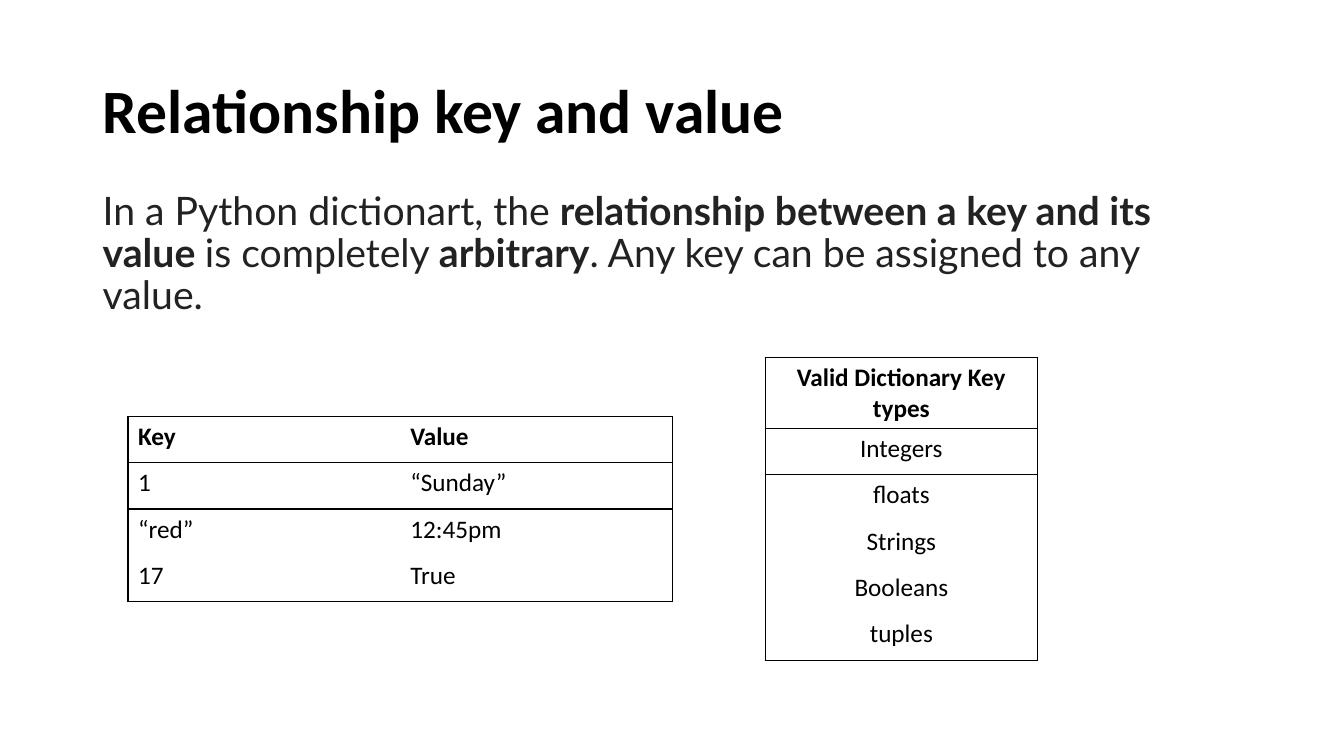
from lxml import etree
from pptx import Presentation
from pptx.dml.color import RGBColor
from pptx.enum.text import MSO_ANCHOR, PP_ALIGN
from pptx.oxml.ns import qn
from pptx.util import Inches, Pt

LEFT, CENTER = PP_ALIGN.LEFT, PP_ALIGN.CENTER
TOP, MIDDLE = MSO_ANCHOR.TOP, MSO_ANCHOR.MIDDLE
BLACK, DARK_GREY = "000000", "222222"
ROW_H = 0.46
RULED_ROWS = 2  # the first rows have a line below them


def color(hex_code):
    return RGBColor.from_string(hex_code)


def add_run(p, text, size, font, hex_code, bold=False):
    r = p.add_run()
    r.text = text
    r.font.size = Pt(size)
    r.font.name = font
    r.font.bold = bold
    r.font.color.rgb = color(hex_code)


def add_text(slide, box, runs, size, font, hex_code, anchor=TOP, before=0):
    """One wrapped paragraph of (text, bold) runs."""
    tf = slide.shapes.add_textbox(*map(Inches, box)).text_frame
    tf.word_wrap = True
    tf.vertical_anchor = anchor
    p = tf.paragraphs[0]
    p.line_spacing = 0.9
    p.space_before = Pt(before)
    for text, bold in runs:
        add_run(p, text, size, font, hex_code, bold)


def set_borders(cell, visible):
    """Draw the sides named in visible (of L, R, T, B) and clear the others."""
    tcPr = cell._tc.get_or_add_tcPr()
    for side in "LRTB":
        ln = etree.SubElement(tcPr, qn(f"a:ln{side}"), w=str(Pt(1)))
        if side in visible:
            fill = etree.SubElement(ln, qn("a:solidFill"))
            etree.SubElement(fill, qn("a:srgbClr"), val=BLACK)
        else:
            etree.SubElement(ln, qn("a:noFill"))


def add_framed_table(slide, left, top, col_w, rows, align=LEFT, head_h=ROW_H):
    """Framed table with a bold header and rules below its first rows."""
    n_rows, n_cols = len(rows), len(rows[0])
    height = head_h + ROW_H * (n_rows - 1)
    box = map(Inches, (left, top, col_w * n_cols, height))
    table = slide.shapes.add_table(n_rows, n_cols, *box).table
    table.first_row = table.horz_banding = False
    for column in table.columns:
        column.width = Inches(col_w)
    for i, texts in enumerate(rows):
        table.rows[i].height = Inches(ROW_H if i else head_h)
        for j, text in enumerate(texts):
            cell = table.cell(i, j)
            p = cell.text_frame.paragraphs[0]
            p.alignment = align
            add_run(p, text, 18, "Calibri", BLACK, bold=i == 0)
            sides = {
                "L": j == 0,
                "R": j == n_cols - 1,
                "T": i <= RULED_ROWS,
                "B": i < RULED_ROWS or i == n_rows - 1,
            }
            set_borders(cell, [side for side, shown in sides.items() if shown])
            cell.fill.background()


def build_slide(prs):
    slide = prs.slides.add_slide(prs.slide_layouts[6])

    # Title and statement
    add_text(slide, (0.92, 0.4, 11.5, 1.45), [("Relationship key and value", True)],
             44, "Calibri", BLACK, anchor=MIDDLE)
    statement = [
        ("In a Python dictionart, the ", False),
        ("relationship between a key and its value ", True),
        ("is completely ", False),
        ("arbitrary", True),
        (". Any key can be assigned to any value.", False),
    ]
    add_text(slide, (0.92, 1.85, 10.88, 5.5), statement, 28, "Lato", DARK_GREY, before=10)

    # Example pairs
    pairs = [("Key", "Value"), ("1", "“Sunday”"), ("“red”", "12:45pm"), ("17", "True")]
    add_framed_table(slide, 1.27, 4.13, 2.7, pairs)

    # Valid key types
    key_types = ["Valid Dictionary Key types", "Integers", "floats", "Strings",
                 "Booleans", "tuples"]
    add_framed_table(slide, 7.59, 3.55, 2.7, [(name,) for name in key_types],
                     align=CENTER, head_h=0.7)


def main():
    prs = Presentation()
    prs.slide_width, prs.slide_height = Inches(13.33), Inches(7.5)
    build_slide(prs)
    prs.save("out.pptx")


if __name__ == "__main__":
    main()
